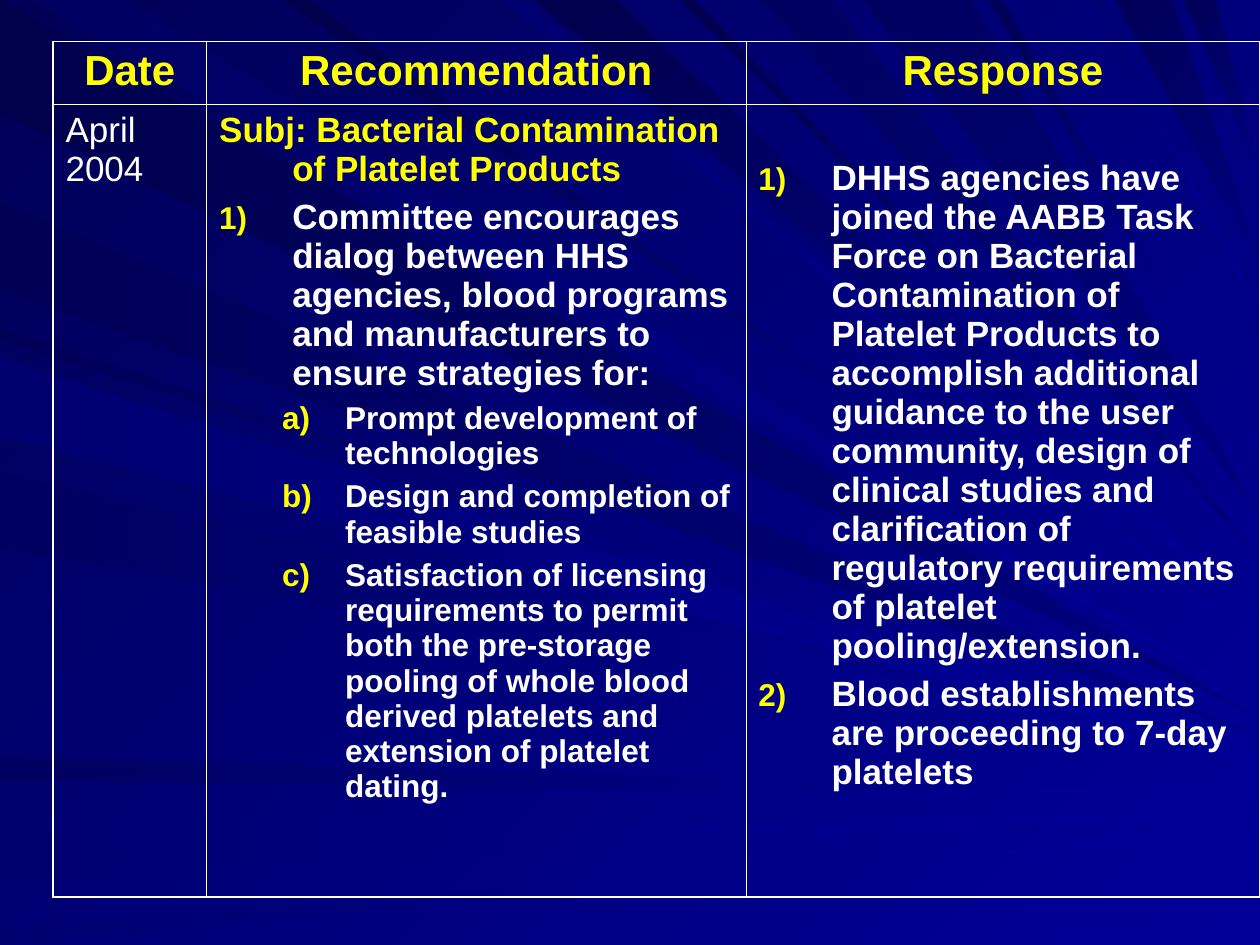
from lxml import etree
from pptx import Presentation
from pptx.dml.color import RGBColor as RGB
from pptx.enum.text import PP_ALIGN as Align
from pptx.oxml.ns import qn
from pptx.util import Inches, Pt

COLORS = {
    "yellow": "FFFF00", "white": "FFFFFF", "bright": "000099", "blue": "000080",
    "dark": "000057", "deep": "00004C", "dim": "000060", "soft": "000070",
}

presentation = Presentation()
presentation.slide_width = Inches(10)
presentation.slide_height = Inches(7.5)
slide = presentation.slides.add_slide(presentation.slide_layouts[6])


def set_gradient(fill, start, end, clockwise_angle):
    fill.gradient()
    fill.gradient_angle = 360 - clockwise_angle
    for stop, color, position in zip(fill.gradient_stops, (start, end), (0, 1)):
        stop.color.rgb = RGB.from_string(COLORS[color])
        stop.position = position


def add_run(paragraph, text, size, color, bold):
    run = paragraph.add_run()
    run.text = text
    run.font.name = "Arial"
    run.font.size = Pt(size)
    run.font.bold = bold
    run.font.color.rgb = RGB.from_string(COLORS[color])


# Background
set_gradient(slide.background.fill, "bright", "dark", 225)

# Light rays narrow from the left or top edge to a point on the right edge:
# span on the starting edge, height on the right edge, bright and dark ends
left_rays = [
    (0, 0.9, 5.7, "blue", "deep"),
    (6, 6.2, 6.3, "bright", "dim"),
    (6.65, 7, 6.45, "bright", "soft"),
    (7.35, 7.5, 6.6, "bright", "soft"),
    (2.6, 2.7, 5.9, "bright", "dark"),
    (1.6, 2.3, 5.85, "blue", "dark"),
    (2.8, 3.4, 6, "bright", "dim"),
    (3.75, 4.35, 6.05, "bright", "dim"),
    (2.85, 3.45, 6.05, "bright", "soft"),
]
top_rays = [
    (0.25, 1, 5.6, "bright", "dim"),
    (4, 4.15, 5.2, "bright", "soft"),
    (4.25, 4.9, 4.95, "bright", "deep"),
    (5.4, 5.5, 4.6, "bright", "deep"),
    (6.05, 6.6, 4.45, "blue", "dim"),
    (8.85, 9.3, 2.1, "blue", "dark"),
    (9.4, 9.65, 1.4, "blue", "dark"),
    (2.25, 2.45, 5.5, "bright", "deep"),
    (6.85, 7.7, 4.1, "blue", "dim"),
    (7.85, 7.95, 3.6, "bright", "dark"),
    (8.65, 8.75, 2.5, "bright", "soft"),
]
for rays, from_left, angle in ((left_rays, True, 180), (top_rays, False, 225)):
    for first, last, right, bright_end, dark_end in rays:
        base = [(0, Inches(edge)) if from_left else (Inches(edge), 0) for edge in (first, last)]
        builder = slide.shapes.build_freeform(*base[0])
        builder.add_line_segments([base[1], (Inches(10), Inches(right))], close=True)
        ray = builder.convert_to_shape()
        ray.shadow.inherit = False
        ray.line.fill.background()
        set_gradient(ray.fill, bright_end, dark_end, angle)

# Table grid
column_widths = [1.22, 4.28, 4.08]
row_heights = [0.5, 6.29]
table = slide.shapes.add_table(
    2, 3, Inches(0.42), Inches(0.33), Inches(sum(column_widths)), Inches(sum(row_heights))
).table
table.first_row = False
table.horz_banding = False
for column, width in zip(table.columns, column_widths):
    column.width = Inches(width)
for row, height in zip(table.rows, row_heights):
    row.height = Inches(height)

# Cell borders: heavier around the outside
for row in range(2):
    for column in range(3):
        cell = table.cell(row, column)
        properties = cell._tc.get_or_add_tcPr()
        outside = {"lnL": column == 0, "lnR": column == 2, "lnT": row == 0, "lnB": row == 1}
        for side, is_outside in outside.items():
            border = etree.SubElement(properties, qn(f"a:{side}"), w=str(Pt(1.08 if is_outside else 0.45)))
            border_fill = etree.SubElement(border, qn("a:solidFill"))
            etree.SubElement(border_fill, qn("a:srgbClr"), val=COLORS["white"])
        cell.fill.background()
        cell.margin_left = cell.margin_right = Inches(0.1)
        cell.margin_top = cell.margin_bottom = Inches(0.05)

# Header row
for column, heading in enumerate(["Date", "Recommendation", "Response"]):
    paragraph = table.cell(0, column).text_frame.paragraphs[0]
    paragraph.alignment = Align.CENTER
    add_run(paragraph, heading, 24, "yellow", True)

# Paragraph kinds: size, colour, bold, left margin, hanging indent, space before, numbering, number size
kinds = {
    "date": (20, "white", False, 0, 0, 5, None, None),
    "subject": (20, "yellow", True, 0.58, 0.58, 5, None, None),
    "item": (20, "white", True, 0.58, 0.58, 5, "arabicParenR", 90),
    "subitem": (18, "white", True, 1, 0.5, 4.5, "alphaLcParenR", 100),
}
body = [
    [("date", "April 2004")],
    [
        ("subject", "Subj: Bacterial Contamination of Platelet Products"),
        ("item", "Committee encourages dialog between HHS agencies, blood programs and "
                 "manufacturers to ensure strategies for:"),
        ("subitem", "Prompt development of technologies"),
        ("subitem", "Design and completion of feasible studies"),
        ("subitem", "Satisfaction of licensing requirements to permit both the pre-storage pooling "
                    "of whole blood derived platelets and extension of platelet dating."),
    ],
    [
        ("item", "DHHS agencies have joined the AABB Task Force on Bacterial Contamination of "
                 "Platelet Products to accomplish additional guidance to the user community, design "
                 "of clinical studies and clarification of regulatory requirements of platelet "
                 "pooling/extension."),
        ("item", "Blood establishments are proceeding to 7-day platelets"),
    ],
]

# Body row
for column, entries in enumerate(body):
    text_frame = table.cell(1, column).text_frame
    for index, (kind, text) in enumerate(entries):
        size, color, bold, margin, hanging, space, numbering, number_size = kinds[kind]
        paragraph = text_frame.add_paragraph() if index else text_frame.paragraphs[0]
        properties = paragraph._p.get_or_add_pPr()
        properties.set("marL", str(Inches(margin)))
        properties.set("indent", str(-Inches(hanging)))
        if numbering:
            number_color = etree.SubElement(properties, qn("a:buClr"))
            etree.SubElement(number_color, qn("a:srgbClr"), val=COLORS["yellow"])
            etree.SubElement(properties, qn("a:buSzPct"), val=str(number_size * 1000))
            etree.SubElement(properties, qn("a:buFont"), typeface="Arial")
            etree.SubElement(properties, qn("a:buAutoNum"), type=numbering)
        if kind == "subitem":
            paragraph.level = 1
        if index:
            paragraph.space_before = Pt(space)
        add_run(paragraph, text, size, color, bold)

# The responses start one line lower
table.cell(1, 2).margin_top = Inches(0.43)

presentation.save("out.pptx")
